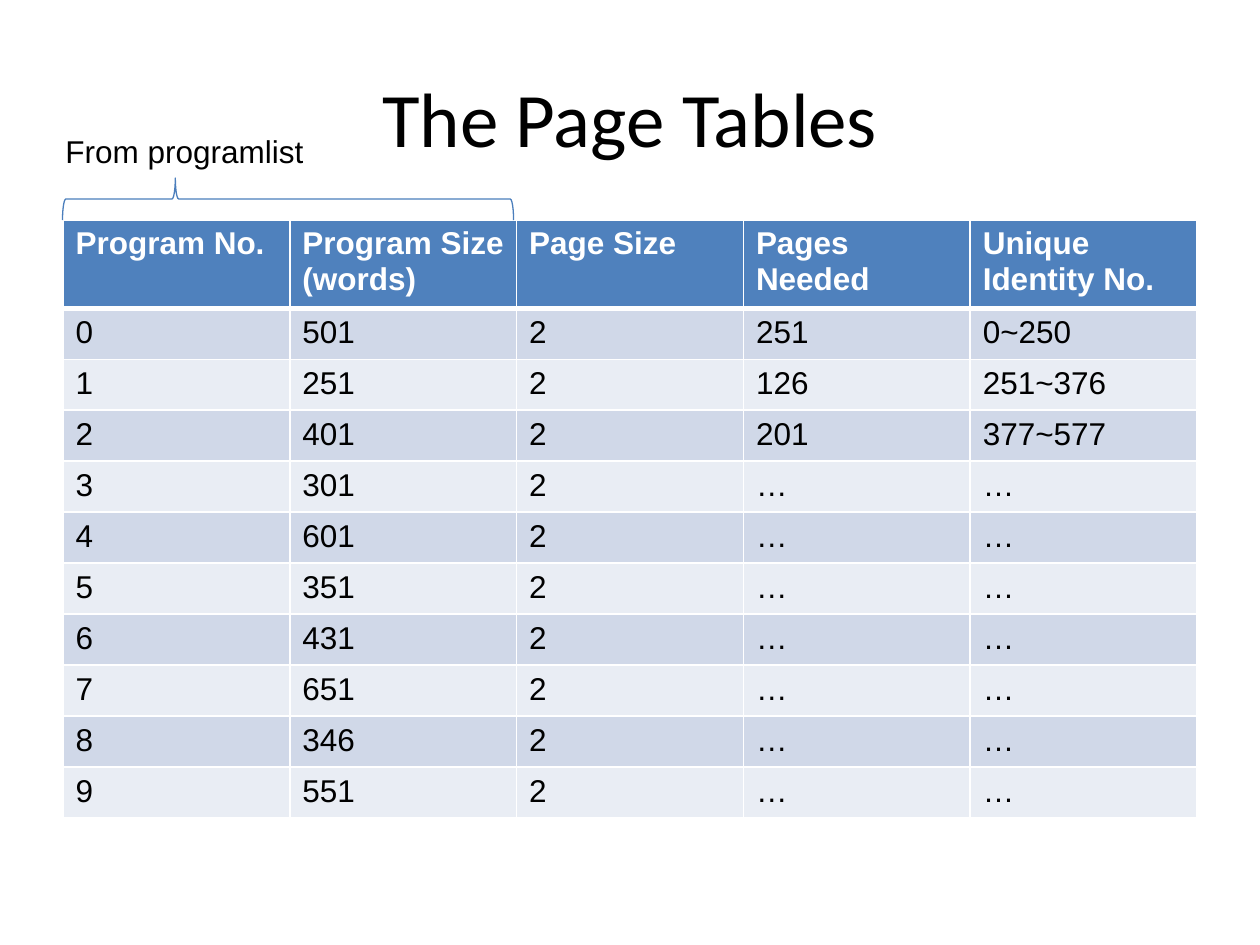
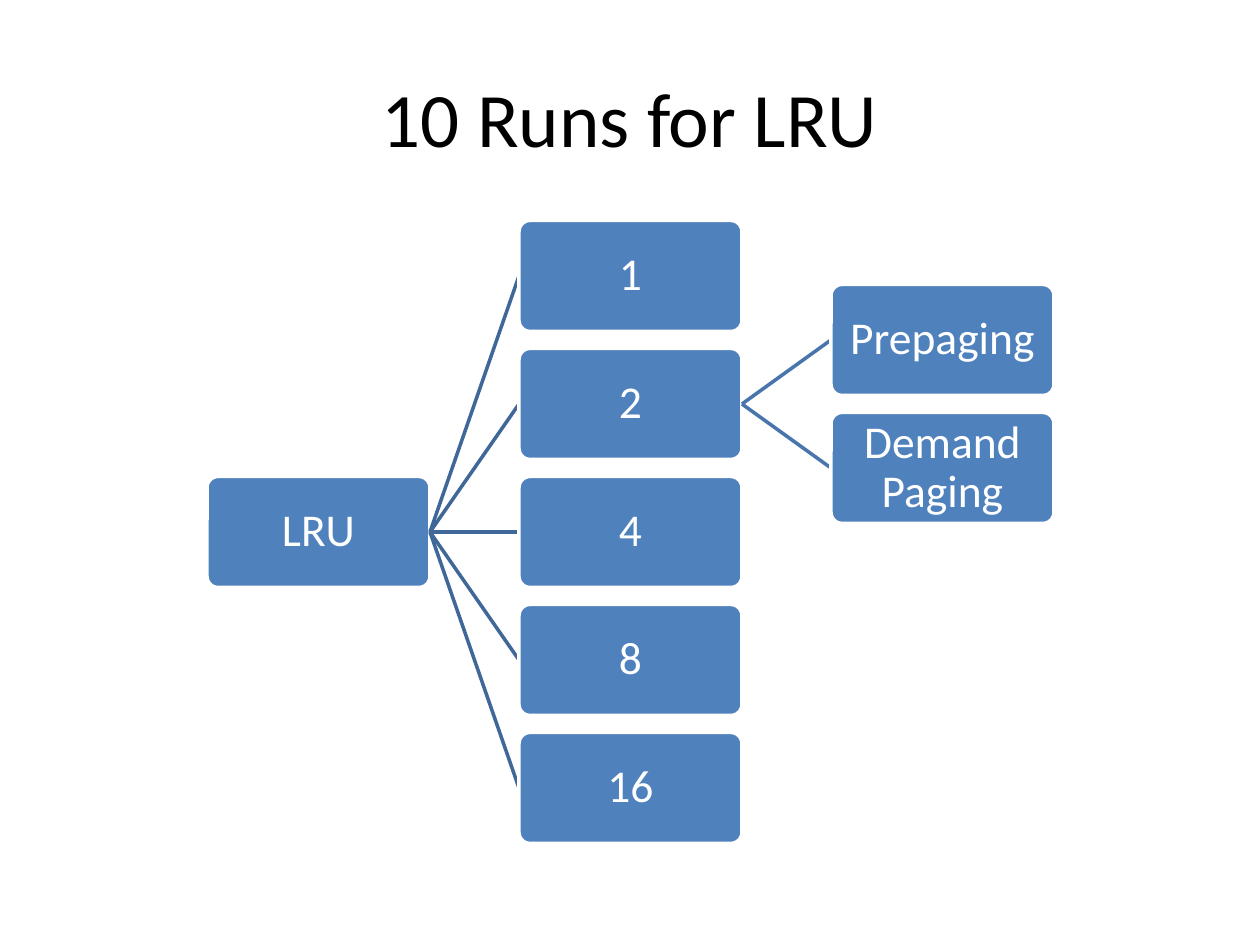
import pptx
import pptx.util
import pptx.dml.color
import pptx.enum.text
import pptx.enum.shapes
import lxml.etree

RGB = pptx.dml.color.RGBColor
BLUE = RGB(0x4F, 0x81, 0xBD)
BRACE = RGB(0x4B, 0x7E, 0xBC)
DARK = RGB(0x3F, 0x67, 0x97)
MID = RGB(0x48, 0x75, 0xAC)
ODD = RGB(0xD0, 0xD8, 0xE8)
EVEN = RGB(0xE9, 0xED, 0xF4)
WHITE = RGB(0xFF, 0xFF, 0xFF)
BLACK = RGB(0, 0, 0)

TITLES = ["The Page Tables", "10 Runs for LRU"]
NOTE = "From programlist"
HEADS = ["Program No.", "Program Size\n(words)", "Page Size",
         "Pages Needed", "Unique Identity No."]
SIZES = [501, 251, 401, 301, 601, 351, 431, 651, 346, 551]
PAGE = 2
KNOWN = [("251", "0~250"), ("126", "251~376"), ("201", "377~577")]
BLANK = ("…", "…")
TREE = ("LRU", [("1", []),
                ("2", [("Prepaging", []), ("Demand Paging", [])]),
                ("4", []), ("8", []), ("16", [])])
LINES = [DARK, MID]

SCALE = 914400 / 126
LEFT, TOP, WIDE = 63, 220, 1134
HEAD, ROW = 82, 51
BOXW, BOXH, STEPX, STEPY = 223, 111, 312, 128
ROOTX, ROOTY = 207, 532

SHAPE = pptx.enum.shapes.MSO_SHAPE
LINK = pptx.enum.shapes.MSO_CONNECTOR.STRAIGHT
MIDDLE = pptx.enum.text.MSO_ANCHOR.MIDDLE
CENTER = pptx.enum.text.PP_ALIGN.CENTER
NS = "http://schemas.openxmlformats.org/drawingml/2006/main"


def px(*nums):
    return [pptx.util.Emu(round(num * SCALE)) for num in nums]


def write(frame, text, size, font, color, bold=False, align=None, space=None):
    for num, line in enumerate(text.split("\n")):
        para = frame.add_paragraph() if num else frame.paragraphs[0]
        para.alignment = align
        para.line_spacing = space
        run = para.add_run()
        run.text = line
        run.font.size = pptx.util.Pt(size)
        run.font.name = font
        run.font.bold = bold
        run.font.color.rgb = color


def label(slide, text, spot, size, font, align=None):
    frame = slide.shapes.add_textbox(*px(*spot)).text_frame
    frame.word_wrap = True
    write(frame, text, size, font, BLACK, align=align)
    return frame


def start(deck, title):
    slide = deck.slides.add_slide(deck.slide_layouts[6])
    frame = label(slide, title, (63, 38, 1134, 157), 44, "Calibri", CENTER)
    frame.vertical_anchor = MIDDLE
    return slide


def edge(cell, side, width):
    props = cell._tc.get_or_add_tcPr()
    line = lxml.etree.SubElement(props, f"{{{NS}}}ln{side}", w=str(pptx.util.Pt(width)))
    fill = lxml.etree.SubElement(line, f"{{{NS}}}solidFill")
    lxml.etree.SubElement(fill, f"{{{NS}}}srgbClr", val=str(WHITE))


def grid(slide):
    rows = [HEADS]
    for num, size in enumerate(SIZES):
        more = KNOWN[num] if num < len(KNOWN) else BLANK
        rows.append([str(num), str(size), str(PAGE), *more])
    high = HEAD + ROW * len(SIZES)
    table = slide.shapes.add_table(len(rows), len(HEADS),
                                   *px(LEFT, TOP, WIDE, high)).table
    for col in table.columns:
        col.width = px(WIDE / len(HEADS))[0]
    for r, row in enumerate(rows):
        top = r == 0
        table.rows[r].height = px(HEAD if top else ROW)[0]
        for c, text in enumerate(row):
            cell = table.cell(r, c)
            for side in "LRTB":
                thick = (top and side == "B") or (r == 1 and side == "T")
                edge(cell, side, 3 if thick else 1)
            cell.fill.solid()
            cell.fill.fore_color.rgb = BLUE if top else ODD if r % 2 else EVEN
            write(cell.text_frame, text, 18, "Arial", WHITE if top else BLACK, top)


def brace(slide):
    wide, high = 42, 451
    midx, midy = 288, 199
    spot = px(midx - wide / 2, midy - high / 2, wide, high)
    shape = slide.shapes.add_shape(SHAPE.LEFT_BRACE, *spot)
    shape.rotation = 90
    shape.adjustments[0] = 0.08
    shape.adjustments[1] = 0.75
    shape.shadow.inherit = False
    shape.fill.background()
    shape.line.color.rgb = BRACE
    shape.line.width = pptx.util.Pt(0.75)


def box(slide, text, x, y):
    shape = slide.shapes.add_shape(SHAPE.ROUNDED_RECTANGLE,
                                   *px(x, y - BOXH / 2, BOXW, BOXH))
    shape.adjustments[0] = 0.1
    shape.shadow.inherit = False
    shape.fill.solid()
    shape.fill.fore_color.rgb = BLUE
    shape.line.color.rgb = WHITE
    shape.line.width = pptx.util.Pt(2)
    frame = shape.text_frame
    frame.word_wrap = True
    frame.vertical_anchor = MIDDLE
    for side in ("left", "right", "top", "bottom"):
        setattr(frame, "margin_" + side, px(2)[0])
    write(frame, text, 26, "Calibri", WHITE, align=CENTER, space=0.9)


def link(slide, ends, color):
    line = slide.shapes.add_connector(LINK, *px(*ends))
    line.line.color.rgb = color
    line.line.width = pptx.util.Pt(2)
    lxml.etree.SubElement(line._element.spPr, f"{{{NS}}}effectLst")


def branch(slide, node, x, y, level=0):
    text, kids = node
    box(slide, text, x, y)
    for num, kid in enumerate(kids):
        kidx = x + STEPX
        kidy = y + (num - (len(kids) - 1) / 2) * STEPY
        link(slide, (x + BOXW, y, kidx, kidy), LINES[level])
        branch(slide, kid, kidx, kidy, level + 1)


deck = pptx.Presentation()
deck.slide_width, deck.slide_height = px(1260, 945)

pages = start(deck, TITLES[0])
grid(pages)
brace(pages)
label(pages, NOTE, (53, 126, 273, 50), 18, "Arial")

runs = start(deck, TITLES[1])
branch(runs, TREE, ROOTX, ROOTY)

deck.save("out.pptx")
